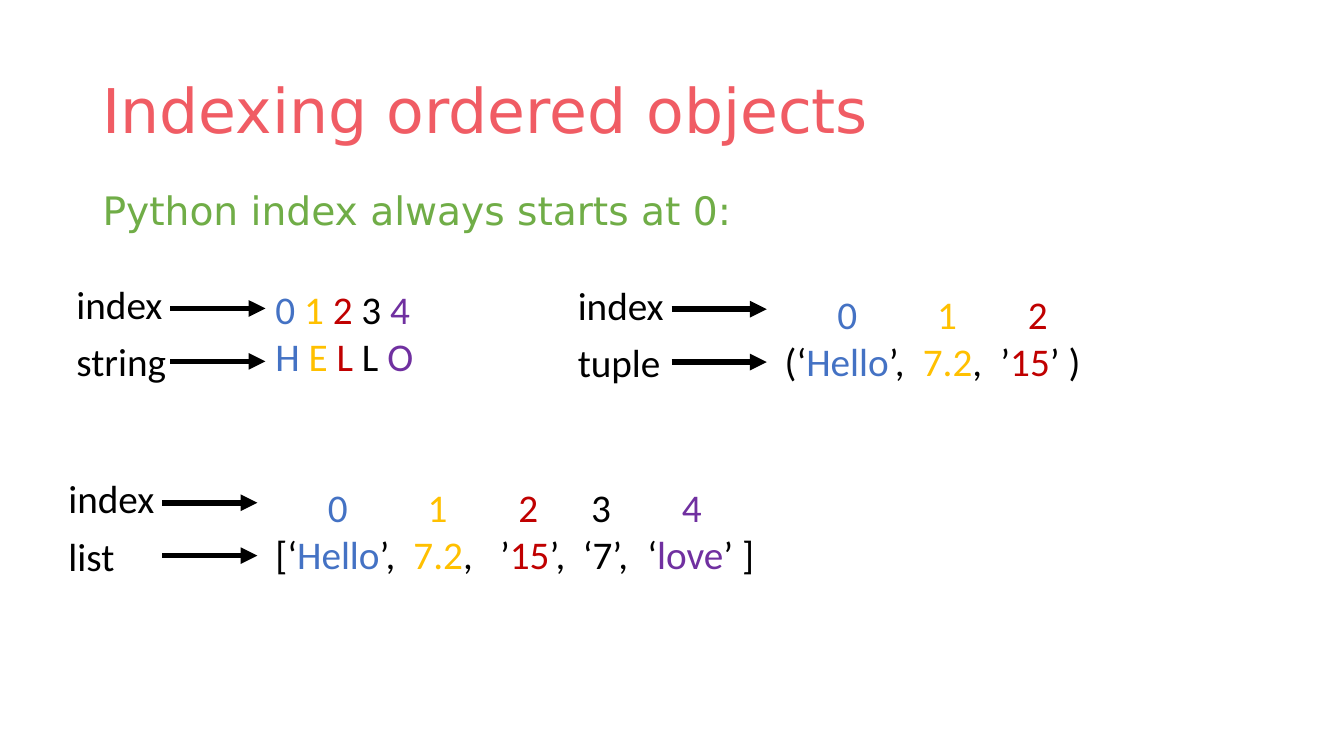
from lxml.etree import SubElement
from pptx import Presentation
from pptx.dml.color import RGBColor
from pptx.enum.shapes import MSO_CONNECTOR
from pptx.enum.text import MSO_ANCHOR
from pptx.oxml.ns import qn
from pptx.util import Inches, Pt

BLACK, BLUE, GOLD, RED, PURPLE = "000000", "4472C4", "FFC000", "C00000", "7030A0"
ITEM_COLORS = [BLUE, GOLD, RED, BLACK, PURPLE]
CORAL, GREEN = "F05C64", "70AD47"

deck = Presentation()
deck.slide_width, deck.slide_height = Inches(13.33), Inches(7.5)
slide = deck.slides.add_slide(deck.slide_layouts[6])
COL, ROW = deck.slide_width / 100, deck.slide_height / 100


def rgb(color):
    """Turn a hex string into a colour."""
    return RGBColor.from_string(color)


def add_text(left, top, width, height, lines, font="Calibri", size=28):
    """Add lines of (text, colour) runs, each line with its tab stops in inches."""
    frame = slide.shapes.add_textbox(
        int(left * COL), int(top * ROW), int(width * COL), int(height * ROW)).text_frame
    frame.word_wrap = True
    for number, (runs, align, stops) in enumerate(lines):
        line = frame.add_paragraph() if number else frame.paragraphs[0]
        if stops:
            tabs = SubElement(line._p.get_or_add_pPr(), qn("a:tabLst"))
            for stop in stops:
                SubElement(tabs, qn("a:tab"), pos=str(Inches(stop)), algn=align)
        for text, color in runs:
            run = line.add_run()
            run.text = text
            run.font.name, run.font.size = font, Pt(size)
            run.font.color.rgb = rgb(color)
    return frame


title = add_text(6.9, 5.3, 86.2, 19.3, [([("Indexing ordered objects", CORAL)], "l", [])],
                 "DejaVu Sans", 44)
title.vertical_anchor = MSO_ANCHOR.MIDDLE
subtitle = add_text(6.9, 24.7, 86.2, 68.8,
                    [([("Python index always starts at 0:", GREEN)], "l", [])], "DejaVu Sans")
for heading in (title, subtitle):
    heading.paragraphs[0].line_spacing = 0.9

INDEX_STOPS = [0.62, 1.61, 2.51, 3.23, 4.13]
letters = [(letter, color) for letter, color in zip(["H ", "E ", "L ", "L ", "O"], ITEM_COLORS)]
letter_indexes = [(text, color) for text, color in zip(["0 ", "1 ", "2 ", "3 ", "4"], ITEM_COLORS)]
item_indexes = [(f"\t{number}", color) for number, color in enumerate(ITEM_COLORS)]
list_items = [("[‘", BLACK), ("Hello", BLUE), ("’,\t", BLACK), ("7.2", GOLD), (",\t’", BLACK),
              ("15", RED), ("’,\t‘7’,\t‘", BLACK), ("love", PURPLE), ("’ ]", BLACK)]
tuple_items = [("(‘", BLACK), ("Hello", BLUE), ("’,\t", BLACK), ("7.2", GOLD), (",\t’", BLACK),
               ("15", RED), ("’ )", BLACK)]

# kind, left, top, offset and width of the values, lines of values
examples = [
    ("string", 4.95, 36.4, (14.8, 0.7), 12.2,
     [(letter_indexes, "l", []), (letters, "l", [])]),
    ("list", 4.35, 62.1, (15.4, 1.2), 42.4,
     [(item_indexes, "ctr", INDEX_STOPS), (list_items, "l", [1.37, 2.23, 3.05, 3.69])]),
    ("tuple", 42.25, 36.5, (15.4, 1.2), 26.5,
     [(item_indexes[:3], "ctr", INDEX_STOPS[:3]), (tuple_items, "l", [1.37, 2.14])]),
]
for kind, left, top, (shift, drop), width, values in examples:
    add_text(left + shift, top + drop, width, 13.9, values)
    for number, label in enumerate(["index", kind]):
        add_text(left, top + 7.6 * number, 12.2, 7.6, [([(label, BLACK)], "l", [])])
        level = int((top + 4.4 + 7 * number) * ROW)
        arrow = slide.shapes.add_connector(
            MSO_CONNECTOR.STRAIGHT, int((left + 7.73) * COL), level,
            int((left + 14.8) * COL), level)
        arrow.line.width = Pt(4)
        arrow.line.color.rgb = rgb(BLACK)
        SubElement(arrow.line._get_or_add_ln(), qn("a:tailEnd"), type="triangle")
        SubElement(arrow._element.spPr, qn("a:effectLst"))

deck.save("out.pptx")
